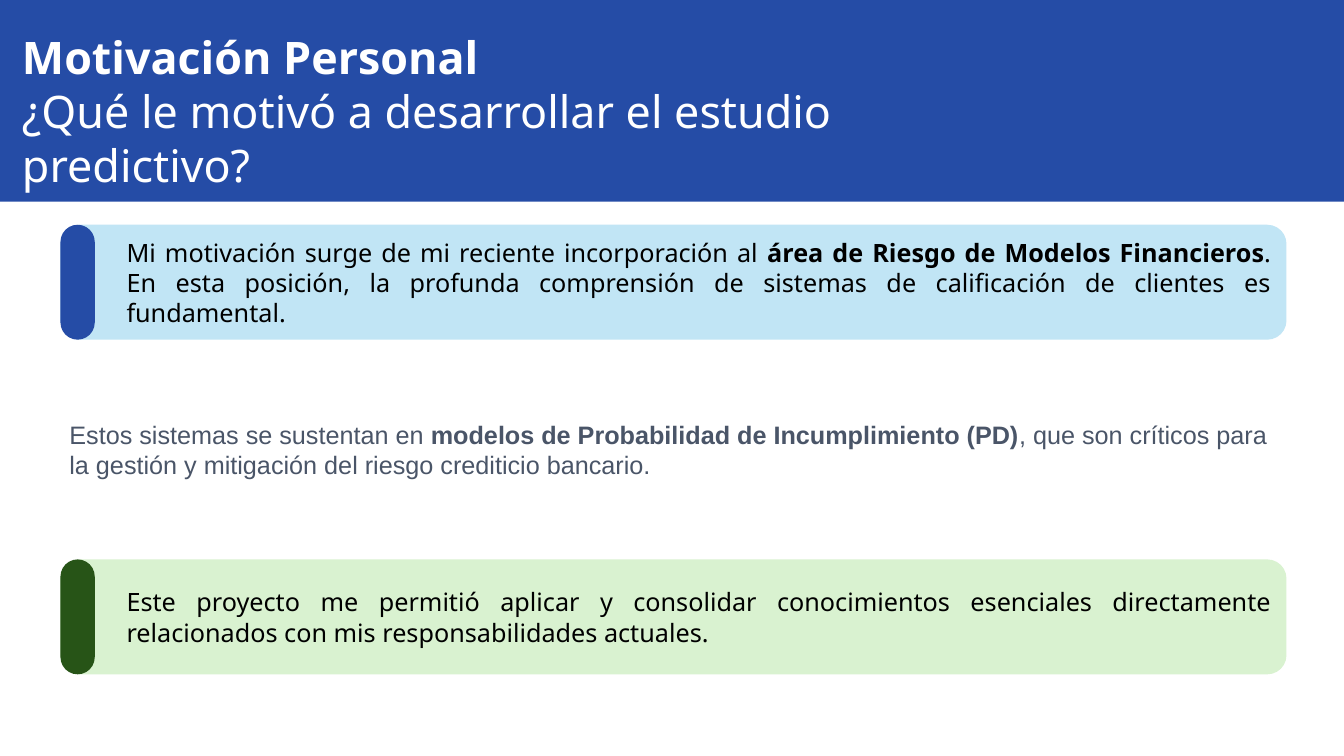
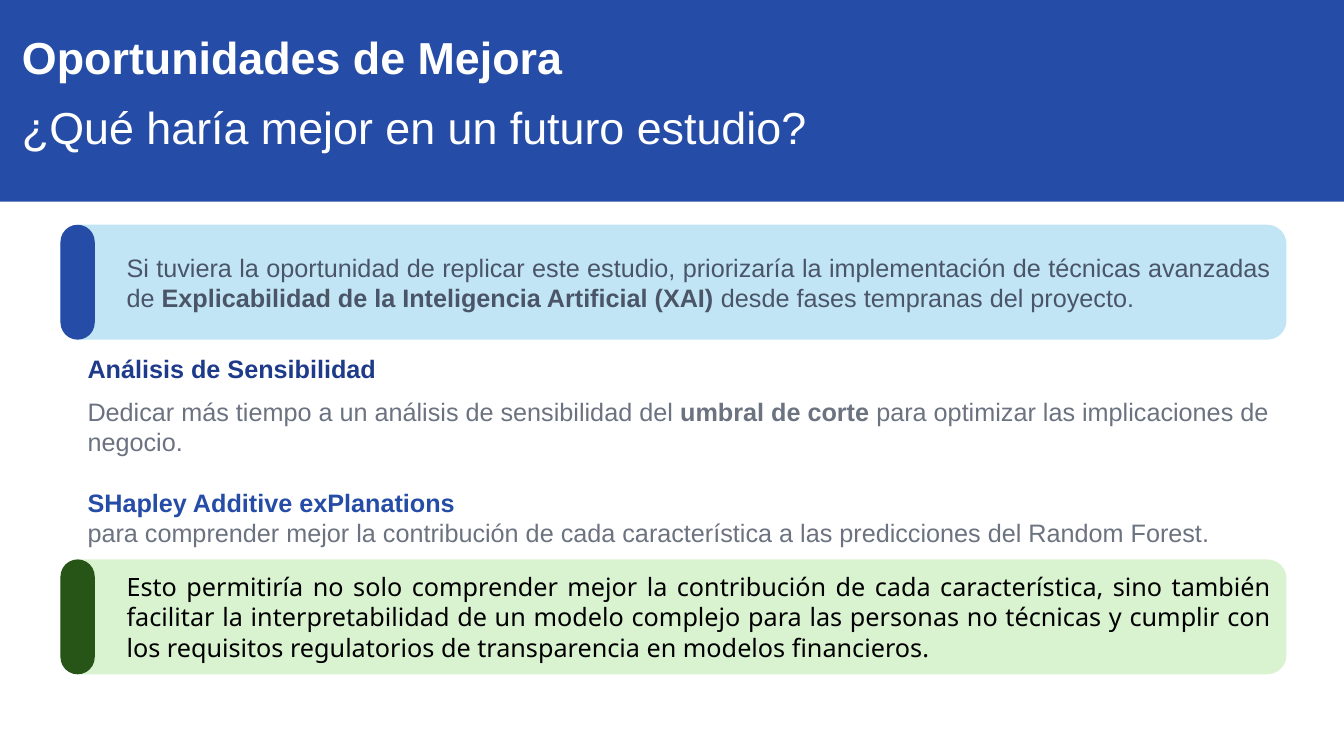
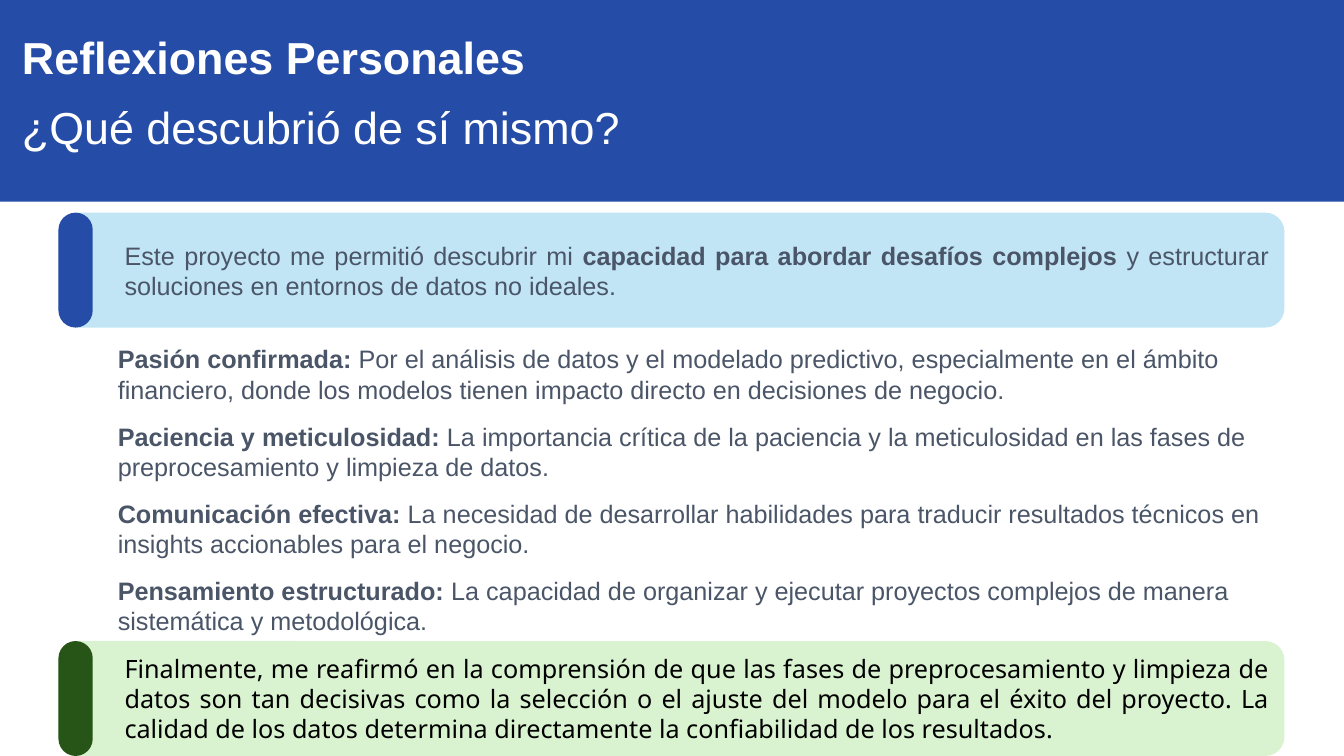
from pptx import Presentation
from pptx import util as u
from pptx.dml import color
from pptx.enum import shapes, text

PX = 9144  # 100 px to the inch
HUES = {
    "white": "FFFFFF", "black": "000000", "blue": "254CA6", "navy": "1E3A8A",
    "sky": "C1E5F5", "mint": "D9F2D0", "green": "275417",
    "slate": "4A5568", "gray": "6B7280",
}
KIND = shapes.MSO_SHAPE
WIDE = 1216   # card width
TALL = 114    # card height


def rgb(hue):
    return color.RGBColor.from_string(HUES[hue])


def place(*box):
    return [n * PX for n in box]


def block(page, kind, box, hue):
    """Plain filled shape without line or shadow."""
    form = page.shapes.add_shape(kind, *place(*box))
    form.shadow.inherit = False
    form.fill.solid()
    form.fill.fore_color.rgb = rgb(hue)
    form.line.fill.background()
    return form


def write(para, words, size, font, hue, before=0, after=0):
    """Add runs; the parts between asterisks are bold."""
    para.space_before, para.space_after = u.Pt(before), u.Pt(after)
    for i, part in enumerate(words.split("*")):
        if part:
            run = para.add_run()
            run.text = part
            run.font.size, run.font.name = u.Pt(size), font
            run.font.bold = i % 2 == 1
            run.font.color.rgb = rgb(hue)


def prose(page, box, rows, size=18, font="Arial"):
    """Text box; each row is (words, hue, space before, space after)."""
    frame = page.shapes.add_textbox(*place(*box)).text_frame
    frame.word_wrap = True
    frame.auto_size = text.MSO_AUTO_SIZE.SHAPE_TO_FIT_TEXT
    for i, (words, *look) in enumerate(rows):
        para = frame.add_paragraph() if i else frame.paragraphs[0]
        write(para, words, size, font, *look)


def header(page, title, ask, font="Arial", gap=11.2, tall=133):
    """Blue band with title and question."""
    block(page, KIND.RECTANGLE, (0, 0, 1333, 200), "blue")
    rows = [(f"*{title}*", "white", 0, gap), (ask, "white")]
    prose(page, (12, 25, 996, tall), rows, 32, font)


def card(page, left, top, fill, edge, words, font="Noto Sans", hue="black"):
    """Rounded panel with a pill on its left edge."""
    panel = block(page, KIND.ROUNDED_RECTANGLE, (left, top, WIDE, TALL), fill)
    frame = panel.text_frame
    frame.word_wrap = True
    frame.margin_left = 60 * PX
    frame.vertical_anchor = text.MSO_ANCHOR.MIDDLE
    para = frame.paragraphs[0]
    para.alignment = text.PP_ALIGN.JUSTIFY
    write(para, words, 18, font, hue)
    pill = block(page, KIND.ROUNDED_RECTANGLE, (left, top, 34, TALL), edge)
    pill.adjustments[0] = 0.5


def intro(page, left, top, words, **look):
    card(page, left, top, "sky", "blue", words, **look)


def close(page, left, top, words):
    card(page, left, top, "mint", "green", words)


def motive(page):
    header(page, "Motivación Personal",
           "¿Qué le motivó a desarrollar el estudio predictivo?",
           "Noto Sans", 0, 118)
    prose(page, (59, 411, 1216, 71), [(
        "Estos sistemas se sustentan en *modelos de Probabilidad de "
        "Incumplimiento (PD)*, que son críticos para la gestión y mitigación "
        "del riesgo crediticio bancario.", "slate")])
    intro(page, 60, 223,
          "Mi motivación surge de mi reciente incorporación al *área de "
          "Riesgo de Modelos Financieros*. En esta posición, la profunda "
          "comprensión de sistemas de calificación de clientes es "
          "fundamental.")
    close(page, 60, 555,
          "Este proyecto me permitió aplicar y consolidar conocimientos "
          "esenciales directamente relacionados con mis responsabilidades "
          "actuales.")


def better(page):
    header(page, "Oportunidades de Mejora",
           "¿Qué haría mejor en un futuro estudio?")
    prose(page, (77, 346, 1216, 204), [
        ("*Análisis de Sensibilidad*", "navy", 7.5, 9),
        ("Dedicar más tiempo a un análisis de sensibilidad del *umbral de "
         "corte* para optimizar las implicaciones de negocio.",
         "gray", 0, 21.5),
        ("*SHapley Additive exPlanations*", "blue"),
        ("para comprender mejor la contribución de cada característica a las "
         "predicciones del Random Forest.", "gray"),
    ])
    intro(page, 60, 223,
          "Si tuviera la oportunidad de replicar este estudio, priorizaría "
          "la implementación de técnicas avanzadas de *Explicabilidad de la "
          "Inteligencia Artificial (XAI)* desde fases tempranas del "
          "proyecto.", font="Arial", hue="slate")
    close(page, 60, 555,
          "Esto permitiría no solo comprender mejor la contribución de cada "
          "característica, sino también facilitar la interpretabilidad de un "
          "modelo complejo para las personas no técnicas y cumplir con los "
          "requisitos regulatorios de transparencia en modelos financieros.")


def insight(page):
    header(page, "Reflexiones Personales", "¿Qué descubrió de sí mismo?")
    traits = [
        "*Pasión confirmada:* Por el análisis de datos y el modelado "
        "predictivo, especialmente en el ámbito financiero, donde los "
        "modelos tienen impacto directo en decisiones de negocio.",
        "*Paciencia y meticulosidad:* La importancia crítica de la paciencia "
        "y la meticulosidad en las fases de preprocesamiento y limpieza de "
        "datos.",
        "*Comunicación efectiva:* La necesidad de desarrollar habilidades "
        "para traducir resultados técnicos en insights accionables para el "
        "negocio.",
        "*Pensamiento estructurado:* La capacidad de organizar y ejecutar "
        "proyectos complejos de manera sistemática y metodológica.",
    ]
    prose(page, (107, 336, 1167, 303), [(t, "slate", 6, 6) for t in traits])
    intro(page, 58, 211,
          "Este proyecto me permitió descubrir mi *capacidad para abordar "
          "desafíos complejos* y estructurar soluciones en entornos de datos "
          "no ideales.", font="Arial", hue="slate")
    close(page, 58, 636,
          "Finalmente, me reafirmó en la comprensión de que las fases de "
          "preprocesamiento y limpieza de datos son tan decisivas como la "
          "selección o el ajuste del modelo para el éxito del proyecto. La "
          "calidad de los datos determina directamente la confiabilidad de "
          "los resultados.")


def main():
    deck = Presentation()
    deck.slide_width, deck.slide_height = place(1333, 750)
    for build in (motive, better, insight):
        build(deck.slides.add_slide(deck.slide_layouts[6]))
    deck.save("out.pptx")


if __name__ == "__main__":
    main()
